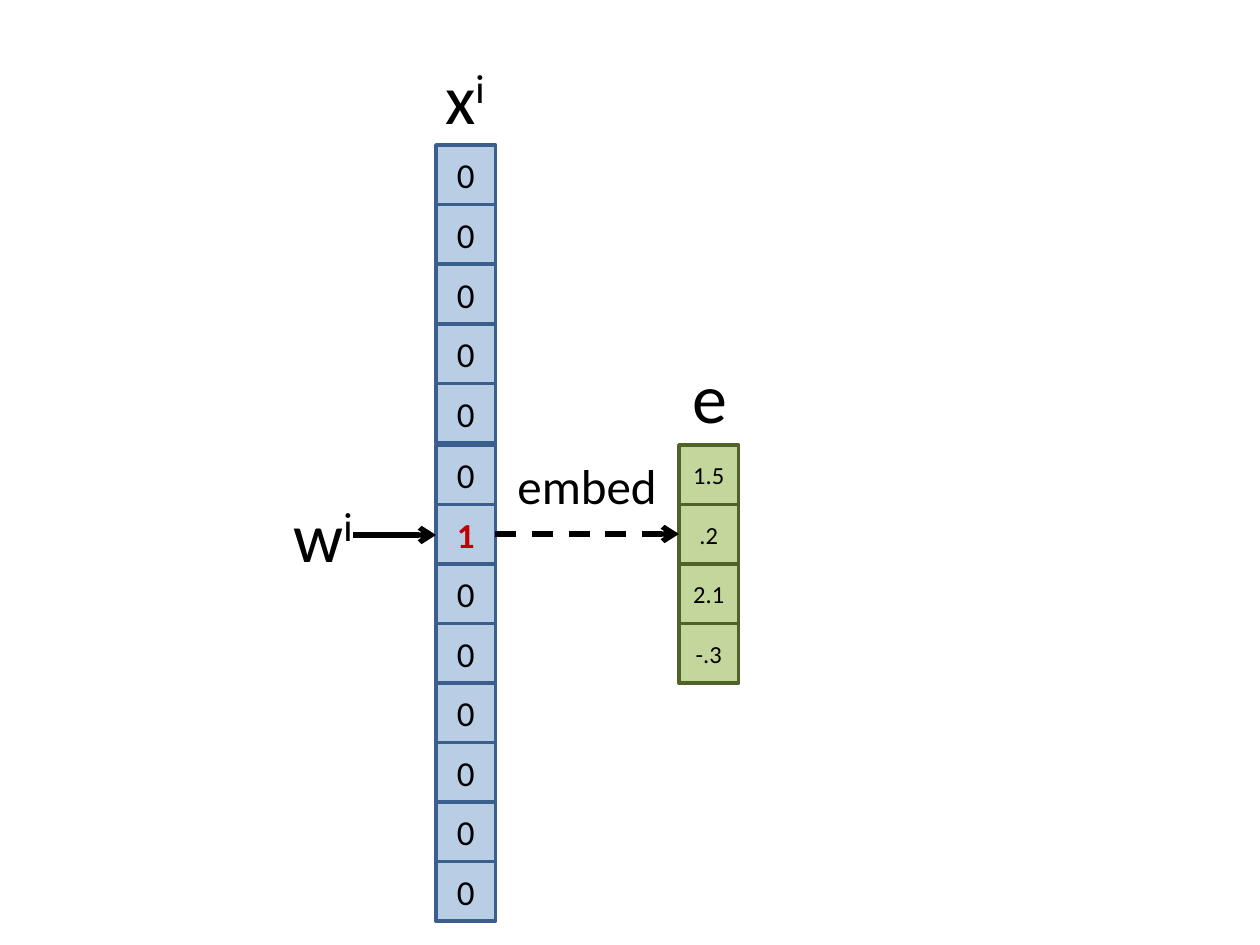
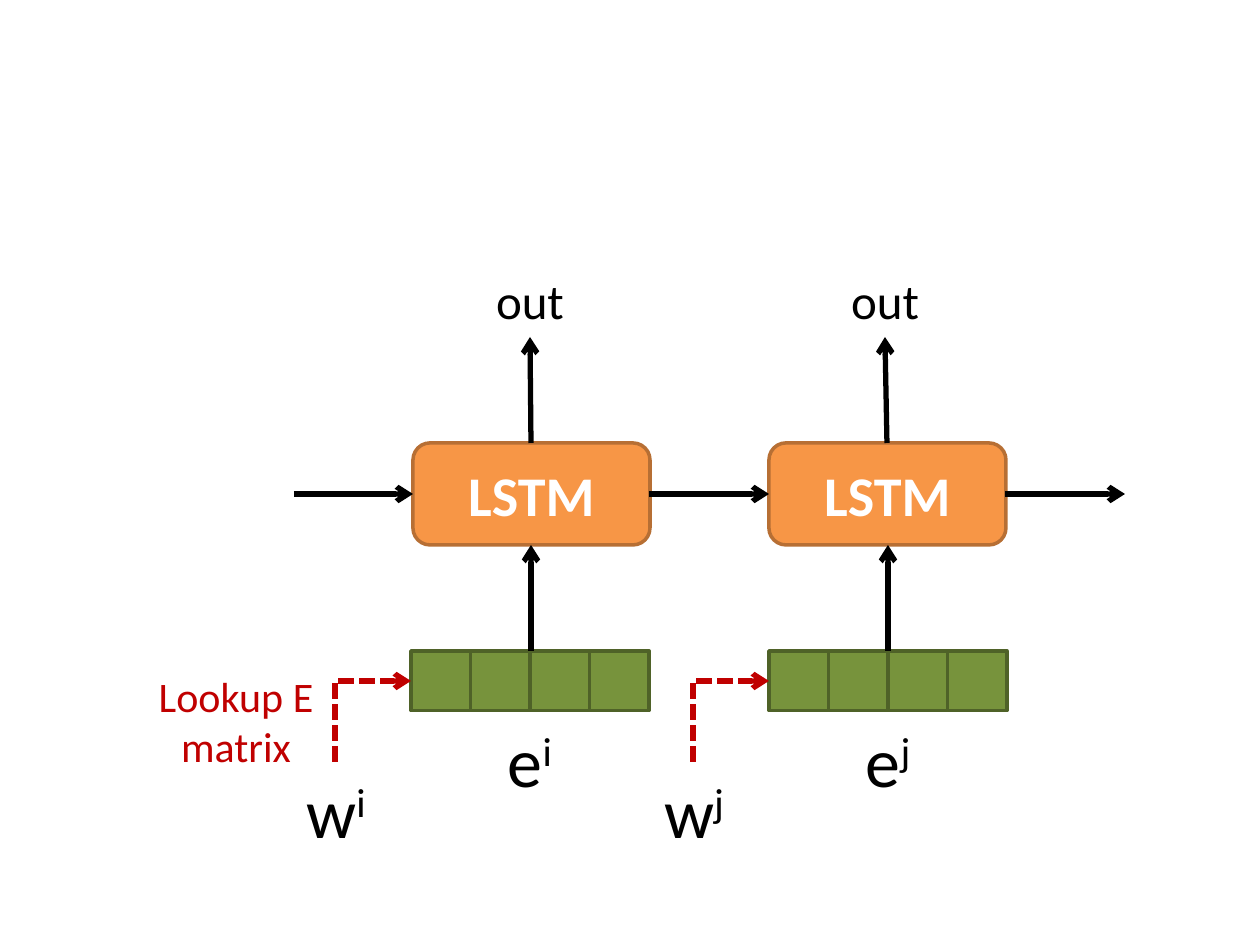
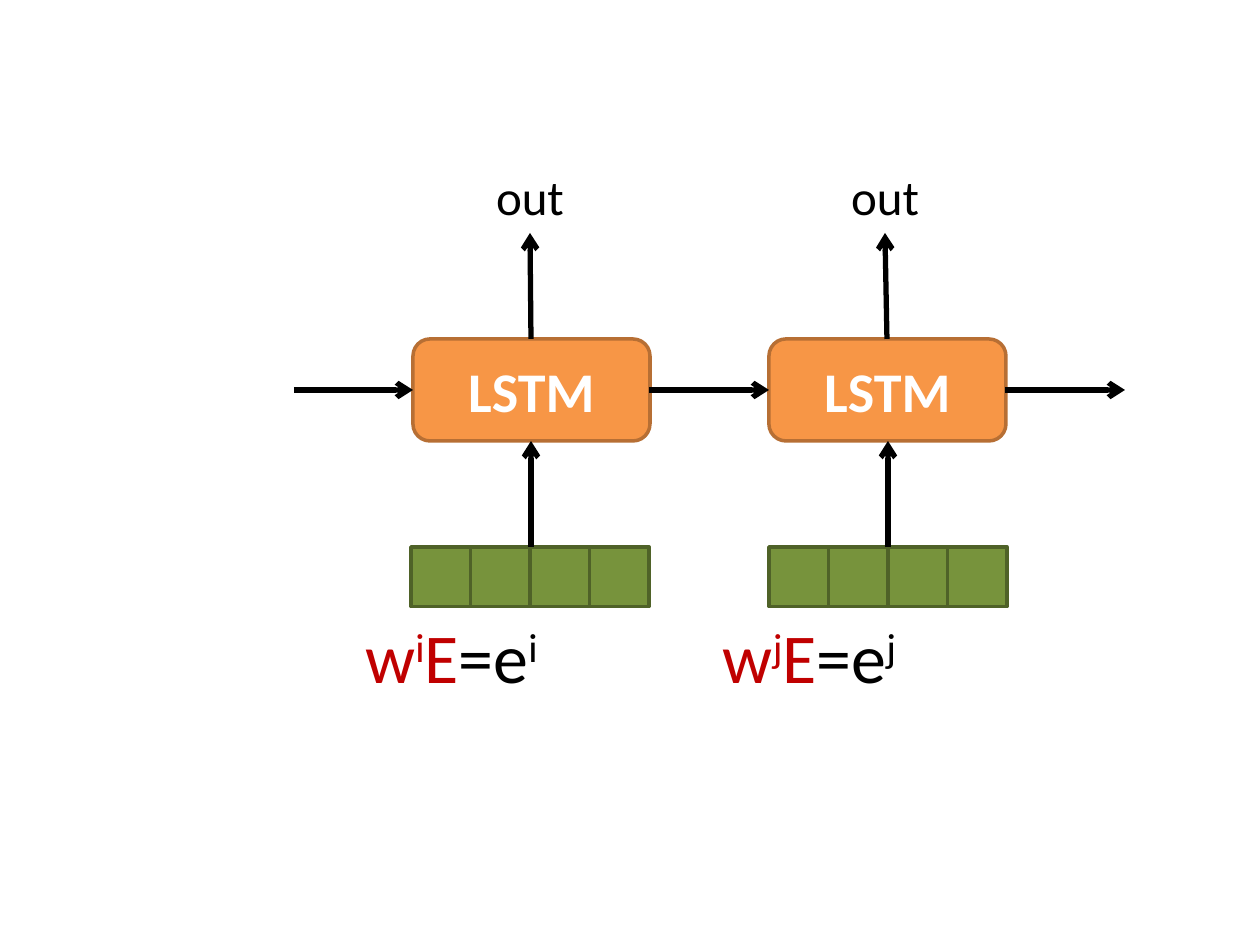
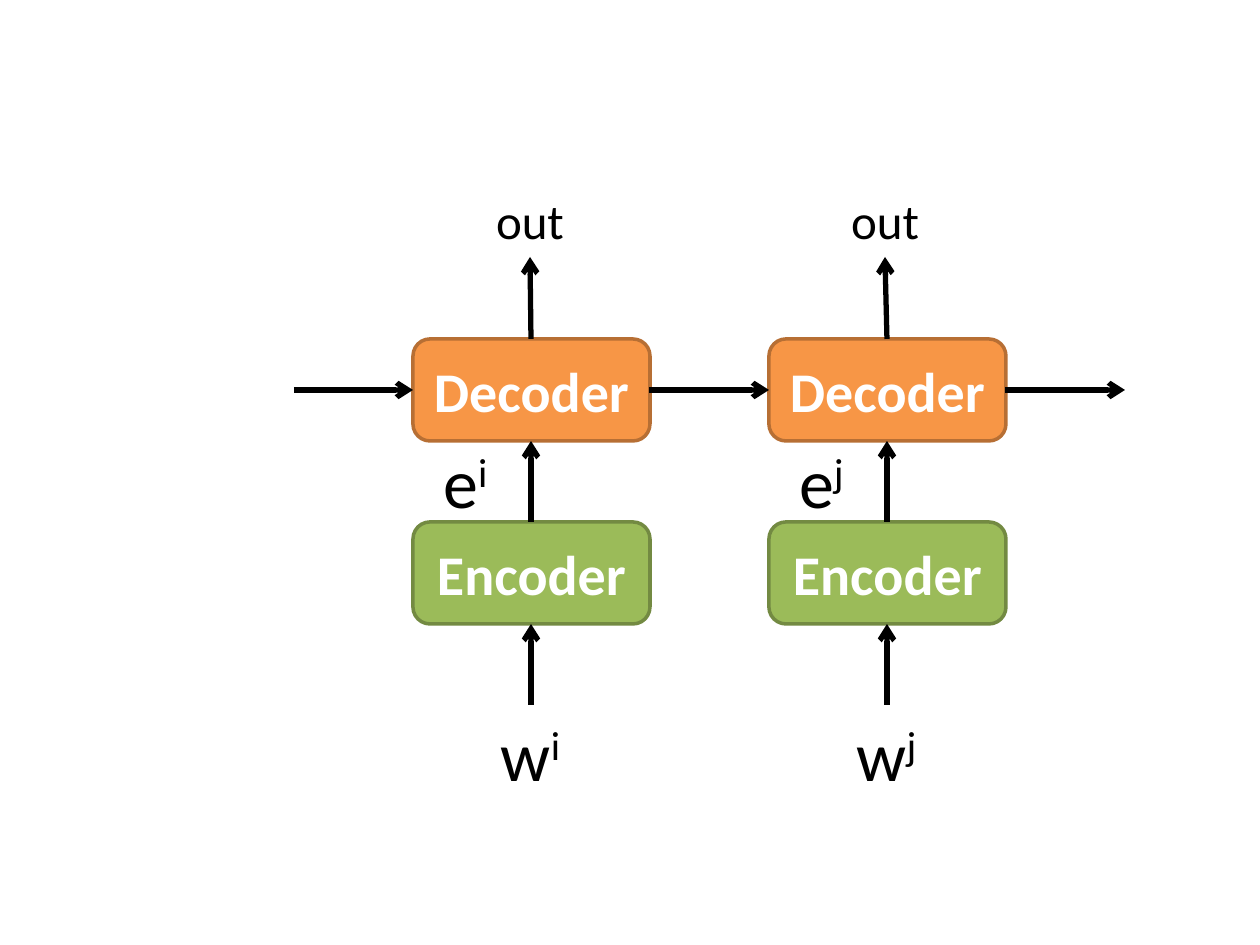
"""Build four slides on word embedding, LSTM lookup and encoder-decoder chains."""
from lxml.etree import SubElement
from pptx import Presentation
from pptx.dml.color import RGBColor as RGB
from pptx.enum.dml import MSO_LINE as Dash
from pptx.enum.shapes import MSO_CONNECTOR as Link, MSO_SHAPE as Kind
from pptx.enum.text import MSO_ANCHOR as Anchor, MSO_AUTO_SIZE as Fit, PP_ALIGN as Align
from pptx.oxml.ns import qn
from pptx.util import Inches, Pt

SCALE = Inches(1) / 126
FONT = "Calibri"
BLACK = RGB(0x00, 0x00, 0x00)
WHITE = RGB(0xFF, 0xFF, 0xFF)
RED = RGB(0xC0, 0x00, 0x00)
BLUE = RGB(0xB9, 0xCD, 0xE5)
NAVY = RGB(0x3A, 0x5F, 0x8C)
LIME = RGB(0xC3, 0xD6, 0x9B)
OLIVE = RGB(0x77, 0x93, 0x3C)
MOSS = RGB(0x4F, 0x62, 0x28)
ORANGE = RGB(0xF7, 0x96, 0x46)
BROWN = RGB(0xB7, 0x6F, 0x34)
GREEN = RGB(0x9B, 0xBB, 0x59)
FERN = RGB(0x73, 0x8A, 0x42)

BOX_W, BOX_H = 237, 102
BOXES = (413, 769)
STRIPS = (411, 769)
SPAN = 238
CELL = 60
MARKS = "ij"


def px(*sizes):
    return [round(size * SCALE) for size in sizes]


def write(frame, parts, size=40, color=BLACK, bold=False, anchor=Anchor.MIDDLE):
    frame.word_wrap = True
    frame.vertical_anchor = anchor
    para = frame.paragraphs[0]
    para.alignment = Align.CENTER
    for part in parts:
        word, tint = part if isinstance(part, tuple) else (part, color)
        run = para.add_run()
        run.text = word.lstrip("^")
        run.font.name, run.font.size, run.font.bold = FONT, Pt(size), bold
        run.font.color.rgb = tint
        if word.startswith("^"):
            run.font._element.set("baseline", "30000")


def label(slide, x, y, w, h, *parts, **style):
    frame = slide.shapes.add_textbox(*px(x, y, w, h)).text_frame
    write(frame, parts, **style)
    frame.auto_size = Fit.SHAPE_TO_FIT_TEXT


def block(shapes, kind, x, y, w, h, fill, edge, word="", **style):
    shape = shapes.add_shape(kind, *px(x, y, w, h))
    shape.shadow.inherit = False
    shape.fill.solid()
    shape.fill.fore_color.rgb = fill
    shape.line.color.rgb = edge
    shape.line.width = Pt(2)
    if word:
        write(shape.text_frame, [word], **style)


def stack(slide, x, y, span, words, fill, edge, size):
    step = span / len(words)
    for row, word in enumerate(words):
        hot = word == "1"
        block(slide.shapes, Kind.RECTANGLE, x, y + row * step, step, step, fill, edge,
              word, size=size, color=RED if hot else BLACK, bold=hot)


def strip(slide, x, y, count=4):
    group = slide.shapes.add_group_shape()
    step = SPAN / count
    for col in range(count):
        block(group.shapes, Kind.RECTANGLE, x + col * step, y, step, step, OLIVE, MOSS)


def arrow(slide, x1, y1, x2, y2, color=BLACK, dash=None, kind=Link.STRAIGHT):
    link = slide.shapes.add_connector(kind, *px(x1, y1, x2, y2))
    link.line.color.rgb = color
    link.line.width = Pt(3)
    if dash:
        link.line.dash_style = dash
    props = link._element.spPr
    SubElement(props.find(qn("a:ln")), qn("a:tailEnd")).set("type", "arrow")
    SubElement(props, qn("a:effectLst"))
    return props


def bend(slide, x1, y1, x2, y2):
    """Draw a red dashed arrow that goes up, then right, as a turned elbow."""
    mid_x, mid_y = (x1 + x2) / 2, (y1 + y2) / 2
    rise, run = (y1 - y2) / 2, (x2 - x1) / 2
    props = arrow(slide, mid_x + rise, mid_y + run, mid_x - rise, mid_y - run,
                  RED, Dash.SQUARE_DOT, Link.ELBOW)
    props.find(qn("a:xfrm")).set("rot", "5400000")
    props.find(qn("a:prstGeom")).set("prst", "bentConnector2")


def node(slide, x, y, word, fill=ORANGE, edge=BROWN):
    block(slide.shapes, Kind.ROUNDED_RECTANGLE, x, y, BOX_W, BOX_H, fill, edge,
          word, size=32, color=WHITE, bold=True)


def chain(slide, top, word, rise):
    mid = top + BOX_H / 2
    for x in BOXES:
        node(slide, x, top, word)
    for start, end in ((294, 413), (649, 769), (1005, 1125)):
        arrow(slide, start, mid, end, mid)
    for start, end in ((531, 530), (887, 885)):
        arrow(slide, start, top, end, top - rise)
        label(slide, end - 50, top - rise - 73, 100, 72, "out", size=28, anchor=Anchor.TOP)


def feed(slide, top):
    """Draw the embedding strips below the chain, with their arrows."""
    low = top + 208
    for x, stem in zip(STRIPS, (531, 888)):
        strip(slide, x, low, 4)
        arrow(slide, stem, low, stem, top + BOX_H)


def embed(slide):
    label(slide, 415, 48, 100, 97, "x", "^i")
    stack(slide, 436, 145, 298, "0" * 5, BLUE, NAVY, 20)
    stack(slide, 436, 445, 476, "01" + "0" * 6, BLUE, NAVY, 20)
    stack(slide, 679, 445, SPAN, ("1.5", ".2", "2.1", "-.3"), LIME, MOSS, 14)
    arrow(slide, 495, 534, 679, 534, dash=Dash.DASH)
    label(slide, 660, 347, 100, 97, "e")
    label(slide, 495, 449, 184, 72, "embed", size=28)
    label(slide, 273, 486, 100, 97, "w", "^i", anchor=Anchor.TOP)
    arrow(slide, 353, 535, 436, 535)


def lookup(slide):
    chain(slide, 443, "LSTM", 106)
    feed(slide, 443)
    for x, mark in zip(STRIPS, MARKS):
        label(slide, x + 69, 711, 100, 97, "e", "^" + mark)
        label(slide, x - 125, 762, 100, 97, "w", "^" + mark, anchor=Anchor.TOP)
        bend(slide, x - 76, 762, x, 681)
    label(slide, 137, 664, 198, 115, "Lookup E matrix", size=24, color=RED, anchor=Anchor.TOP)


def product(slide):
    chain(slide, 339, "LSTM", 106)
    feed(slide, 339)
    for x, mark in zip(STRIPS, MARKS):
        label(slide, x - 88, 607, 257, 97, ("w", RED), ("^" + mark, RED), ("E", RED),
              "=e", "^" + mark)


def coder(slide):
    chain(slide, 339, "Decoder", 82)
    for x, stem, mark in zip(BOXES, (531, 887), MARKS):
        node(slide, x, 522, "Encoder", GREEN, FERN)
        arrow(slide, stem, 522, stem, 441)
        arrow(slide, stem, 705, stem, 624)
        label(slide, stem - 129, 432, 127, 97, "e", "^" + mark)
        label(slide, stem - 64, 705, 127, 97, "w", "^" + mark)


def main():
    deck = Presentation()
    deck.slide_width, deck.slide_height = px(1260, 945)
    for draw in (embed, lookup, product, coder):
        draw(deck.slides.add_slide(deck.slide_layouts[6]))
    deck.save("out.pptx")


main()
